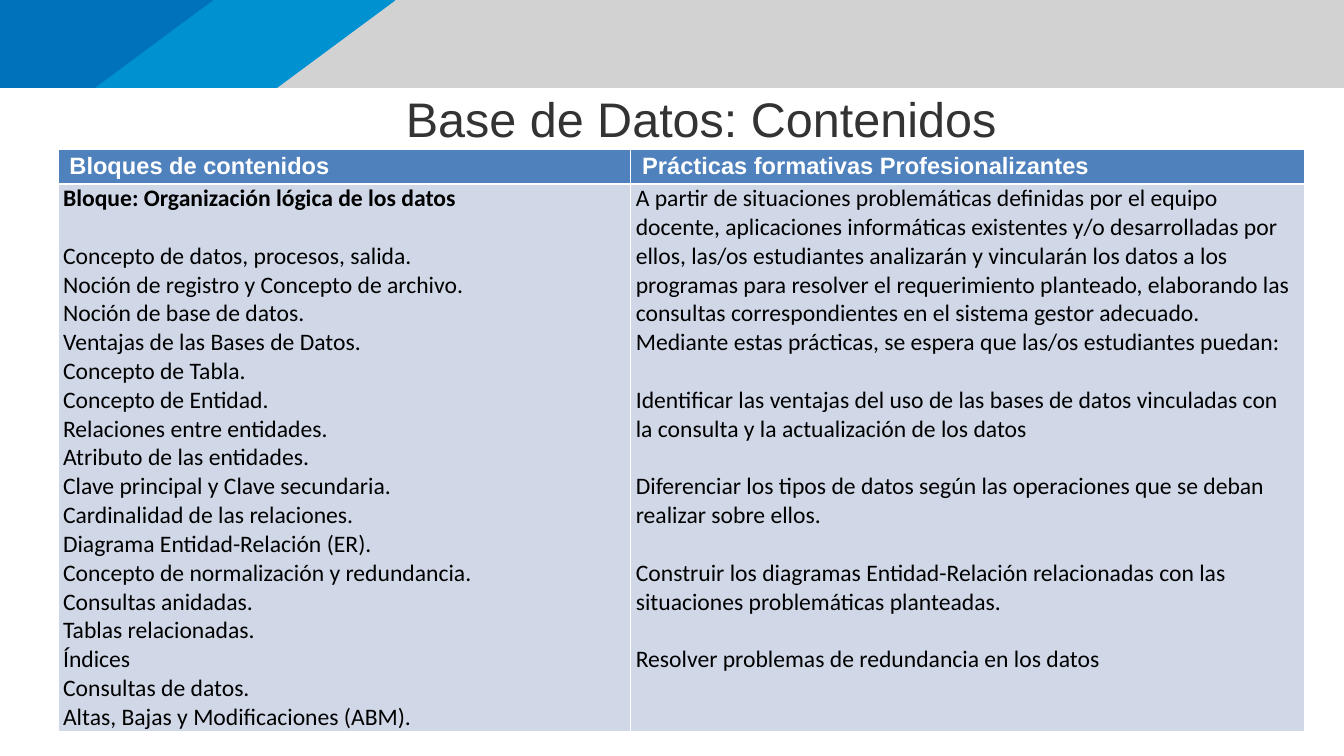
from lxml import etree
from pptx import Presentation
from pptx.dml.color import RGBColor
from pptx.enum.shapes import MSO_SHAPE
from pptx.enum.text import MSO_ANCHOR, MSO_AUTO_SIZE, PP_ALIGN
from pptx.oxml.ns import qn
from pptx.util import Inches, Pt

RECT = MSO_SHAPE.RECTANGLE
TOP = MSO_ANCHOR.TOP
FIT = MSO_AUTO_SIZE.SHAPE_TO_FIT_TEXT
CENTER = PP_ALIGN.CENTER

COLORS = {
    "gray": "D2D2D3", "sky": "0091D1", "blue": "0071BB", "title": "333333",
    "head": "4F81BD", "body": "D0D8E8", "white": "FFFFFF", "black": "000000",
}
TITLE = "Base de Datos: Contenidos"
HEADS = ["Bloques de contenidos", "Prácticas formativas Profesionalizantes"]
BLOCK = "Bloque: Organización lógica de los datos"
TOPICS = [
    "Concepto de datos, procesos, salida.",
    "Noción de registro y Concepto de archivo.",
    "Noción de base de datos.",
    "Ventajas de las Bases de Datos.",
    "Concepto de Tabla.",
    "Concepto de Entidad.",
    "Relaciones entre entidades.",
    "Atributo de las entidades.",
    "Clave principal y Clave secundaria.",
    "Cardinalidad de las relaciones.",
    "Diagrama Entidad-Relación (ER).",
    "Concepto de normalización y redundancia.",
    "Consultas anidadas.",
    "Tablas relacionadas.",
    "Índices",
    "Consultas de datos.",
    "Altas, Bajas y Modificaciones (ABM).",
]
INTRO = [
    "A partir de situaciones problemáticas definidas por el equipo docente, "
    "aplicaciones informáticas existentes y/o desarrolladas por ellos, las/os "
    "estudiantes analizarán y vincularán los datos a los programas para resolver "
    "el requerimiento planteado, elaborando las consultas correspondientes en el "
    "sistema gestor adecuado.",
    "Mediante estas prácticas, se espera que las/os estudiantes puedan:",
]
GOALS = [
    "Identificar las ventajas del uso de las bases de datos vinculadas con la "
    "consulta y la actualización de los datos",
    "Diferenciar los tipos de datos según las operaciones que se deban realizar "
    "sobre ellos.",
    "Construir los diagramas Entidad-Relación relacionadas con las situaciones "
    "problemáticas planteadas.",
    "Resolver problemas de redundancia en los datos",
]
WIDTH, BAND = 18.96, 1.24
SLANTS = [(0, 5.58, 3.9, "sky"), (0.01, 5.57, 3.91, "sky"), (0, 3.01, 1.34, "blue")]
COLS, ROWS = [8.08, 9.5], [0.49, 7.73]
SIZE, GAP = 24, 29.3


def rgb(name):
    return RGBColor.from_string(COLORS[name])


def paint(shape, color):
    shape.shadow.inherit = False
    shape.fill.solid()
    shape.fill.fore_color.rgb = rgb(color)
    shape.line.fill.background()


def write(para, text, size, face, color, bold=False):
    run = para.add_run()
    run.text = text
    font = run.font
    font.size, font.name, font.bold = Pt(size), face, bold
    font.color.rgb = rgb(color)


def border(cell, widths):
    props = cell._tc.get_or_add_tcPr()
    for spot, (side, width) in enumerate(widths.items()):
        line = etree.Element(qn("a:ln" + side), w=str(Pt(width)))
        fill = etree.SubElement(line, qn("a:solidFill"))
        etree.SubElement(fill, qn("a:srgbClr"), val=COLORS["white"])
        props.insert(spot, line)


def setup(cell, color, left, base):
    cell.fill.solid()
    cell.fill.fore_color.rgb = rgb(color)
    cell.margin_left, cell.margin_right = Inches(left), Inches(0.07)
    cell.margin_top = cell.margin_bottom = 0
    cell.vertical_anchor = TOP
    border(cell, {"L": 1, "R": 1, "T": base[0], "B": base[1]})


def fill_text(cell, items):
    frame = cell.text_frame
    for spot, (text, bold, gap) in enumerate(items):
        para = frame.add_paragraph() if spot else frame.paragraphs[0]
        if gap:
            para.space_before = Pt(GAP)
        write(para, text, SIZE, "Calibri", "black", bold)


deck = Presentation()
deck.slide_width, deck.slide_height = Inches(WIDTH), Inches(10.67)
slide = deck.slides.add_slide(deck.slide_layouts[5])
shapes = slide.shapes

paint(shapes.add_shape(RECT, 0, 0, Inches(WIDTH), Inches(BAND)), "gray")
for top, far, near, color in SLANTS:
    pen = shapes.build_freeform(Inches(far), Inches(top))
    points = [(0, top), (0, BAND), (near, BAND)]
    pen.add_line_segments([(Inches(x), Inches(y)) for x, y in points])
    paint(pen.convert_to_shape(), color)

title = shapes.title
title.left, title.top = Inches(4.23), Inches(1.25)
title.width, title.height = Inches(11.33), Inches(0.83)
frame = title.text_frame
frame.margin_left = frame.margin_right = frame.margin_top = frame.margin_bottom = 0
frame.vertical_anchor, frame.auto_size, frame.word_wrap = TOP, FIT, True
frame.paragraphs[0].alignment = CENTER
write(frame.paragraphs[0], TITLE, 49.3, "Arial", "title")

grid = shapes.add_table(2, 2, Inches(0.82), Inches(2.11),
                        Inches(sum(COLS)), Inches(sum(ROWS))).table
for col, width in zip(grid.columns, COLS):
    col.width = Inches(width)
for row, height in zip(grid.rows, ROWS):
    row.height = Inches(height)

left = [(BLOCK, True, False)] + [(t, False, i == 0) for i, t in enumerate(TOPICS)]
right = [(t, False, False) for t in INTRO] + [(t, False, True) for t in GOALS]
for spot, (head, items) in enumerate(zip(HEADS, [left, right])):
    cell = grid.cell(0, spot)
    setup(cell, "head", 0.16, (1, 3))
    para = cell.text_frame.paragraphs[0]
    para.line_spacing = 1.15
    write(para, head, SIZE, "Arial", "white", True)
    cell = grid.cell(1, spot)
    setup(cell, "body", 0.07, (3, 1))
    fill_text(cell, items)

deck.save("out.pptx")
